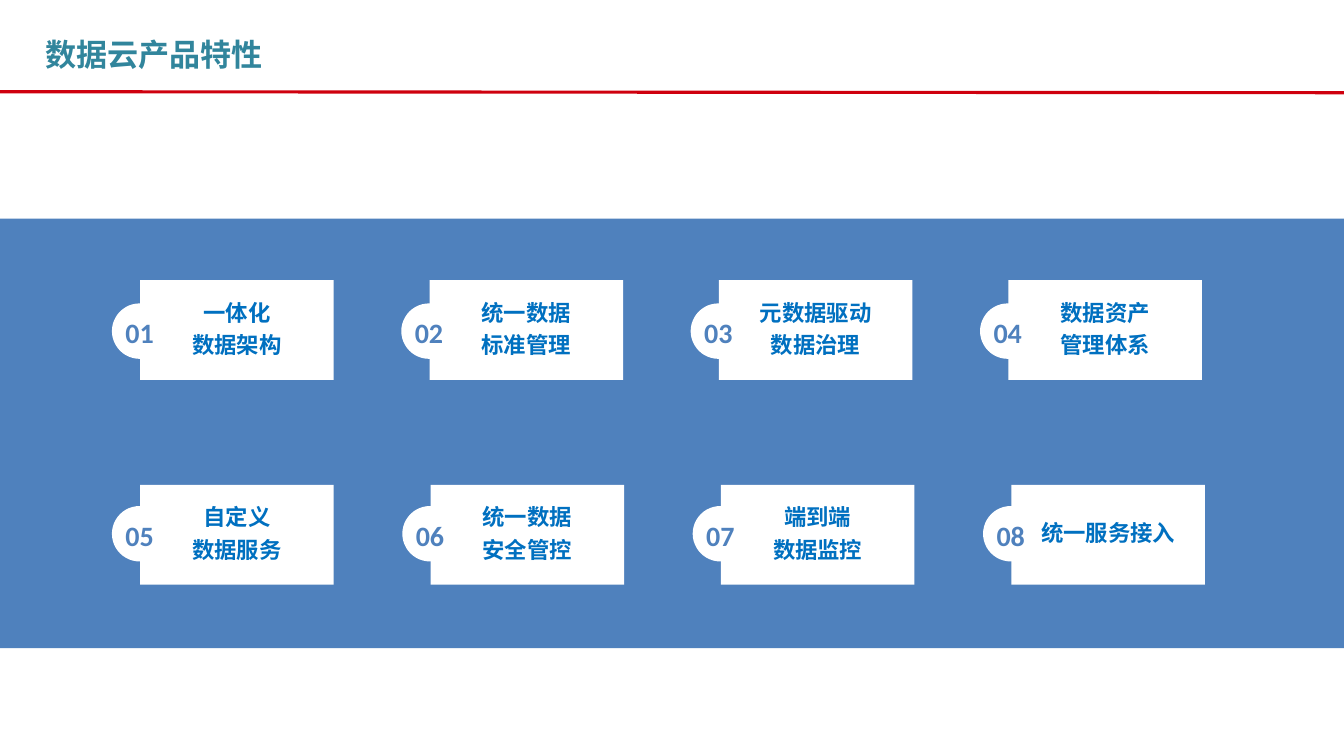
from dataclasses import dataclass

from lxml import etree
from pptx import Presentation
from pptx.dml.color import RGBColor
from pptx.enum.shapes import MSO_CONNECTOR, MSO_SHAPE
from pptx.enum.text import MSO_ANCHOR, MSO_AUTO_SIZE, PP_ALIGN
from pptx.oxml.ns import qn
from pptx.util import Inches, Pt

RECTANGLE, OVAL = MSO_SHAPE.RECTANGLE, MSO_SHAPE.OVAL
STRAIGHT = MSO_CONNECTOR.STRAIGHT
MIDDLE = MSO_ANCHOR.MIDDLE
CENTER = PP_ALIGN.CENTER
FIT_SHAPE = MSO_AUTO_SIZE.SHAPE_TO_FIT_TEXT


@dataclass(frozen=True)
class Theme:
    white: RGBColor = RGBColor.from_string("FFFFFF")
    band: RGBColor = RGBColor.from_string("4F81BD")
    title: RGBColor = RGBColor.from_string("31859C")
    rule: RGBColor = RGBColor.from_string("CF000E")
    feature: RGBColor = RGBColor.from_string("0070C0")
    title_font: str = "Arial"
    number_font: str = "Calibri"
    chinese_font: str = "Noto Sans CJK SC"
    title_size: float = 22.2
    feature_size: float = 16
    number_size: float = 20


THEME = Theme()

CARD_LEFT, CARD_WIDTH, CARD_HEIGHT = 1.39, 1.92, 0.99
BADGE_SIZE, BADGE_OVERHANG = 0.55, 0.28

# card top, badge top, column pitch, features
ROWS = [
    (2.78, 3.01, 2.87, ["一体化\n数据架构", "统一数据\n标准管理",
                        "元数据驱动\n数据治理", "数据资产\n管理体系"]),
    (4.81, 5.02, 2.88, ["自定义\n数据服务", "统一数据\n安全管控",
                        "端到端\n数据监控", "统一服务接入"]),
]


def style_paragraph(paragraph, font_name, size, color):
    """Set a bold font, with the Chinese face for East Asian characters."""
    font = paragraph.font
    font.name, font.size, font.bold = font_name, Pt(size), True
    font.color.rgb = color
    defaults = paragraph._p.pPr.find(qn("a:defRPr"))
    east_asian = etree.SubElement(defaults, qn("a:ea"))
    east_asian.set("typeface", THEME.chinese_font)


def set_space_after_percent(paragraph, percent):
    paragraph.space_after = Pt(0)
    spacing = paragraph._p.pPr.find(qn("a:spcAft"))
    spacing.remove(spacing[0])
    etree.SubElement(spacing, qn("a:spcPct")).set("val", str(percent * 1000))


def add_block(shapes, kind, left, top, width, height, color):
    block = shapes.add_shape(kind, Inches(left), Inches(top),
                             Inches(width), Inches(height))
    block.shadow.inherit = False
    block.fill.solid()
    block.fill.fore_color.rgb = color
    block.line.fill.background()
    return block


def add_title(slide, text):
    title = slide.shapes.add_textbox(Inches(0.35), Inches(0.27),
                                     Inches(2.38), Inches(0.53))
    frame = title.text_frame
    frame.vertical_anchor = MIDDLE
    frame.text = text
    style_paragraph(frame.paragraphs[0], THEME.title_font,
                    THEME.title_size, THEME.title)


def add_rule(slide):
    rule = slide.shapes.add_connector(STRAIGHT, Inches(0), Inches(0.91),
                                      Inches(13.33), Inches(0.92))
    rule.line.color.rgb = THEME.rule
    rule.line.width = Pt(2.25)
    etree.SubElement(rule._element.spPr, qn("a:effectLst"))


def add_feature_card(slide, left, top, feature):
    card = add_block(slide.shapes, RECTANGLE, left, top,
                     CARD_WIDTH, CARD_HEIGHT, THEME.white)
    frame = card.text_frame
    frame.vertical_anchor = MIDDLE
    frame.text = feature
    for paragraph in frame.paragraphs:
        paragraph.alignment = CENTER
        paragraph.line_spacing = 0.9
        set_space_after_percent(paragraph, 35)
        style_paragraph(paragraph, THEME.chinese_font,
                        THEME.feature_size, THEME.feature)


def add_number_badge(slide, left, top, number):
    badge = slide.shapes.add_group_shape()
    add_block(badge.shapes, OVAL, left, top, BADGE_SIZE, BADGE_SIZE, THEME.white)
    label = badge.shapes.add_textbox(Inches(left), Inches(top + 0.07),
                                     Inches(BADGE_SIZE), Inches(0.44))
    frame = label.text_frame
    frame.word_wrap = True
    frame.auto_size = FIT_SHAPE
    frame.text = f"{number:02d}"
    paragraph = frame.paragraphs[0]
    paragraph.alignment = CENTER
    style_paragraph(paragraph, THEME.number_font, THEME.number_size, THEME.band)


def main():
    deck = Presentation()
    deck.slide_width, deck.slide_height = Inches(13.33), Inches(7.5)
    slide = deck.slides.add_slide(deck.slide_layouts[6])

    add_block(slide.shapes, RECTANGLE, 0, 2.17, 13.33, 4.26, THEME.band)
    add_title(slide, "数据云产品特性")
    add_rule(slide)

    number = 1
    for card_top, badge_top, pitch, features in ROWS:
        for column, feature in enumerate(features):
            left = CARD_LEFT + column * pitch
            add_feature_card(slide, left, card_top, feature)
            add_number_badge(slide, left - BADGE_OVERHANG, badge_top, number)
            number += 1

    deck.save("out.pptx")


if __name__ == "__main__":
    main()
